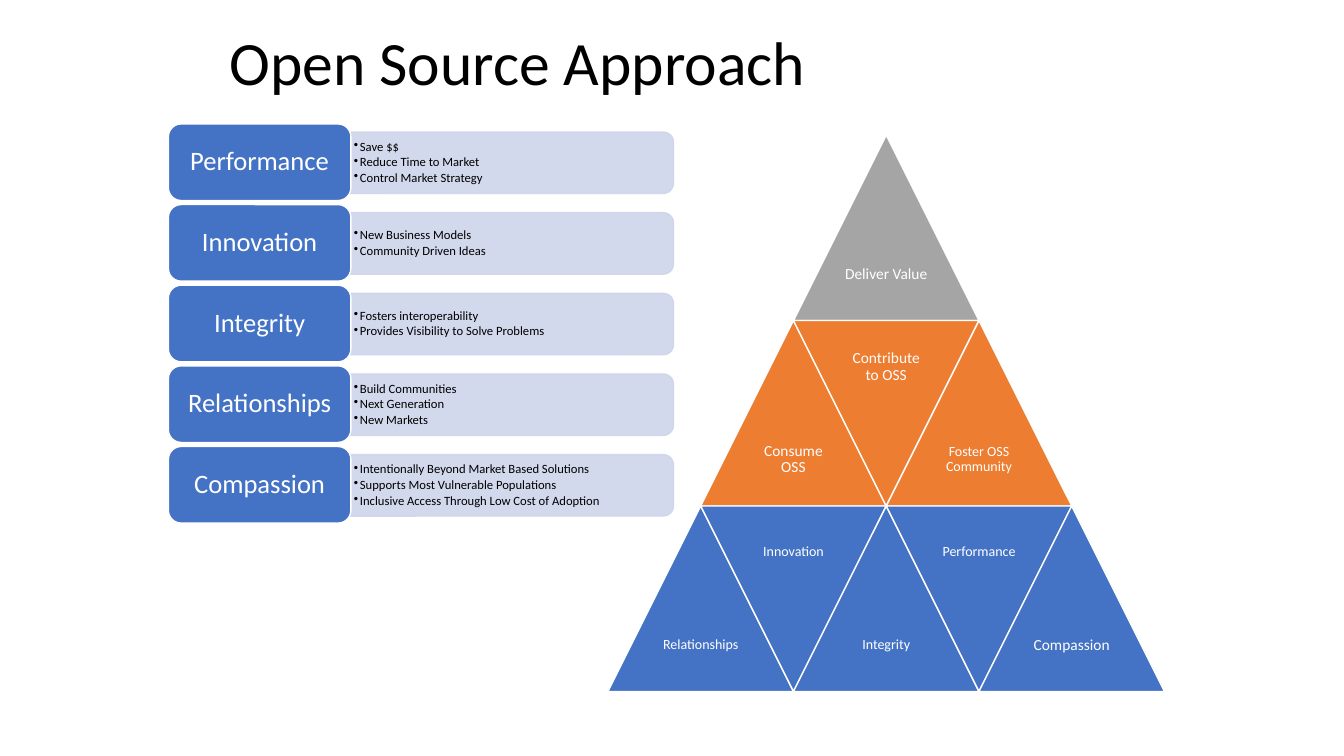
from lxml import etree
from pptx import Presentation
from pptx.dml.color import RGBColor
from pptx.enum.shapes import MSO_SHAPE
from pptx.enum.text import MSO_ANCHOR, PP_ALIGN
from pptx.oxml.ns import qn
from pptx.util import Inches, Pt

PILL = MSO_SHAPE.ROUNDED_RECTANGLE
BAR = MSO_SHAPE.ROUND_2_SAME_RECTANGLE
PEAK = MSO_SHAPE.ISOSCELES_TRIANGLE
MIDDLE = MSO_ANCHOR.MIDDLE
LEFT, CENTER = PP_ALIGN.LEFT, PP_ALIGN.CENTER

COLORS = {"blue": "4472C4", "orange": "ED7D31", "gray": "A5A5A5",
          "pale": "CFD5EA", "white": "FFFFFF", "black": "000000"}

# Value, then its points
VALUES = [
    ("Performance", ["Save $$", "Reduce Time to Market", "Control Market Strategy"]),
    ("Innovation", ["New Business Models", "Community Driven Ideas"]),
    ("Integrity", ["Fosters interoperability", "Provides Visibility to Solve Problems"]),
    ("Relationships", ["Build Communities", "Next Generation", "New Markets"]),
    ("Compassion", ["Intentionally Beyond Market Based Solutions",
                    "Supports Most Vulnerable Populations",
                    "Inclusive Access Through Low Cost of Adoption"]),
]

# Pyramid tiers from the top: fill, then label and text size from left to right
TIERS = [
    ("gray", [("Deliver Value", 11)]),
    ("orange", [("Consume OSS", 11), ("Contribute to OSS", 11), ("Foster OSS Community", 10)]),
    ("blue", [("Relationships", 10), ("Innovation", 10), ("Integrity", 10),
              ("Performance", 10), ("Compassion", 11)]),
]


class Deck:
    font = "Calibri"

    def __init__(self, slide):
        self.slide = slide

    def color(self, name):
        return RGBColor.from_string(COLORS[name])

    def label(self, shape, lines, size, color, align=LEFT, pad=(0.1, 0.05), bullet=False):
        frame = shape.text_frame
        frame.word_wrap = True
        frame.vertical_anchor = MIDDLE
        frame.margin_left = frame.margin_right = Inches(pad[0])
        frame.margin_top = frame.margin_bottom = Inches(pad[1])
        frame.text = "\n".join(lines)
        for para in frame.paragraphs:
            para.alignment = align
            para.line_spacing = 0.9
            if bullet:
                self.bullet(para)
            for run in para.runs:
                run.font.name = self.font
                run.font.size = Pt(size)
                run.font.color.rgb = self.color(color)

    def bullet(self, para):
        para.space_after = Pt(1.35)
        props = para._p.get_or_add_pPr()
        props.set("marL", str(Inches(0.06)))
        props.set("indent", str(-Inches(0.06)))
        etree.SubElement(props, qn("a:buChar")).set("char", "•")

    def text(self, box, lines, size, color, **style):
        shape = self.slide.shapes.add_textbox(*map(Inches, box))
        self.label(shape, lines, size, color, **style)

    def shape(self, kind, box, fill, line="white", turn=0, alpha=None):
        shape = self.slide.shapes.add_shape(kind, *map(Inches, box))
        shape.shadow.inherit = False
        shape.rotation = turn
        shape.fill.solid()
        shape.fill.fore_color.rgb = self.color(fill)
        shape.line.color.rgb = self.color(line)
        shape.line.width = Pt(1)
        if alpha:
            for tint in shape._element.spPr.iter(qn("a:srgbClr")):
                etree.SubElement(tint, qn("a:alpha")).set("val", str(alpha * 1000))
        return shape

    def value(self, top, name, points):
        self.shape(BAR, (4.77, top - 1.22, 0.61, 3.21), "pale", "pale", turn=90, alpha=90)
        self.text((3.47, top + 0.11, 3.18, 0.55), points, 9, "black",
                  pad=(0.04, 0.02), bullet=True)
        pill = self.shape(PILL, (1.67, top, 1.81, 0.76), "blue")
        self.label(pill, [name], 19, "white", CENTER, (0.08, 0.04))

    def peak(self, left, top, side, name, size, fill, down):
        shape = self.shape(PEAK, (left, top, side, side), fill, turn=180 if down else 0)
        style = {"align": CENTER, "pad": (0.05, 0.05) if size > 10 else (0.04, 0.04)}
        if down:
            # Label stays upright over the wide half of the turned triangle
            box = (left + side / 4, top, side / 2, side / 2)
            self.text(box, [name], size, "white", **style)
        else:
            self.label(shape, [name], size, "white", **style)


def main():
    prs = Presentation()
    prs.slide_width, prs.slide_height = Inches(13.33), Inches(7.5)
    deck = Deck(prs.slides.add_slide(prs.slide_layouts[6]))

    # Title
    deck.text((2.18, 0.23, 9, 0.84), ["Open Source Approach"], 44, "black")

    # Pyramid
    side = 1.84
    for row, (fill, labels) in enumerate(TIERS):
        for col, (name, size) in enumerate(labels):
            left = 7.87 + (col - row) * side / 2
            deck.peak(left, 1.34 + row * side, side, name, size, fill, col % 2 == 1)

    # Values list
    for row, (name, points) in enumerate(VALUES):
        deck.value(1.23 + row * 0.8, name, points)

    prs.save("out.pptx")


if __name__ == "__main__":
    main()
